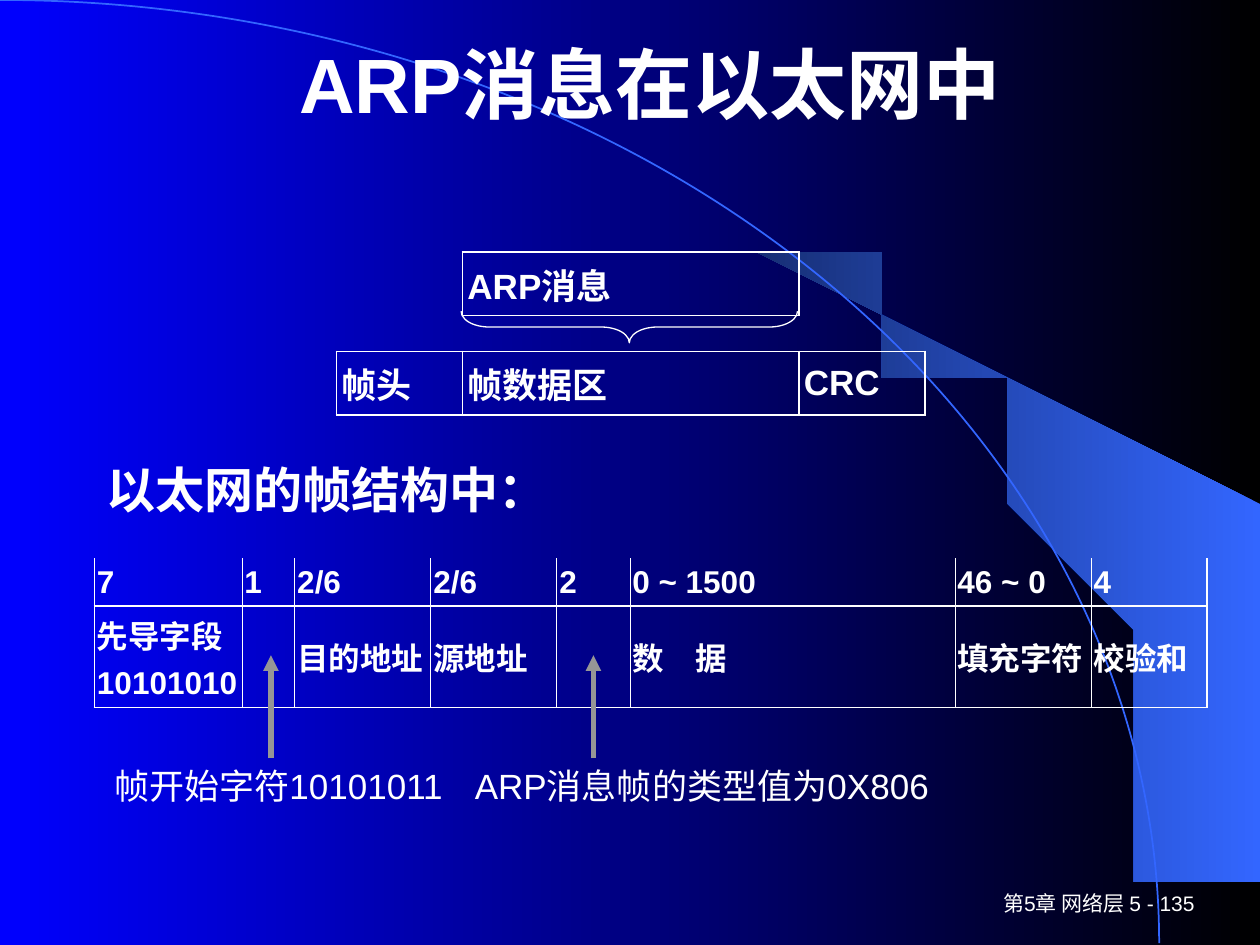
from dataclasses import dataclass

from lxml.etree import SubElement
from pptx import Presentation
from pptx.dml.color import RGBColor
from pptx.enum.shapes import MSO_CONNECTOR, MSO_SHAPE
from pptx.enum.text import MSO_ANCHOR as Anchor, MSO_AUTO_SIZE as AutoSize, PP_ALIGN as Align
from pptx.oxml.ns import qn
from pptx.util import Inches, Pt

COLORS = {"white": "FFFFFF", "black": "000000", "blue": "0000FF", "sky": "3366FF",
          "navy": "172F75", "gray": "969696"}
FONT = "Arial"
THIN, THICK = 0.45, 1.08


@dataclass
class Label:
    text: str
    left: float
    top: float
    width: float
    height: float
    size: float
    align: Align = Align.LEFT
    bold: bool = False
    grow: bool = False
    anchor: Anchor = Anchor.TOP


@dataclass
class FrameTable:
    left: float
    top: float
    widths: list[float]
    heights: list[float]
    rows: list[list[str]]
    size: float
    space_before: float
    inset: float
    inner: float = THICK
    open_top: bool = False
    first_anchor: Anchor = Anchor.MIDDLE


def rgb(name: str) -> RGBColor:
    return RGBColor.from_string(COLORS[name])


def set_gradient(fill, right: str, left: str) -> None:
    fill.gradient()
    fill.gradient_angle = 180
    for stop, name in zip(fill.gradient_stops, (right, left)):
        stop.color.rgb = rgb(name)


def style_text(frame, size: float, bold: bool, align: Align = Align.LEFT,
               space_before: float = 0) -> None:
    for paragraph in frame.paragraphs:
        paragraph.alignment = align
        paragraph.space_before = Pt(space_before)
        paragraph.font.name = FONT
        paragraph.font.size = Pt(size)
        paragraph.font.bold = bold
        paragraph.font.color.rgb = rgb("white")


def add_label(slide, label: Label) -> None:
    box = slide.shapes.add_textbox(Inches(label.left), Inches(label.top),
                                   Inches(label.width), Inches(label.height))
    frame = box.text_frame
    frame.word_wrap = True
    frame.auto_size = AutoSize.SHAPE_TO_FIT_TEXT if label.grow else AutoSize.NONE
    frame.vertical_anchor = label.anchor
    frame.text = label.text
    style_text(frame, label.size, label.bold, label.align)


def set_border(cell, side: str, width: float) -> None:
    line = SubElement(cell._tc.get_or_add_tcPr(), qn(f"a:ln{side}"), w=str(Pt(width)))
    if width:
        solid = SubElement(line, qn("a:solidFill"))
        SubElement(solid, qn("a:srgbClr"), val=COLORS["white"])
    else:
        SubElement(line, qn("a:noFill"))


def add_frame_table(slide, spec_: FrameTable) -> None:
    table = slide.shapes.add_table(
        len(spec_.heights), len(spec_.widths), Inches(spec_.left), Inches(spec_.top),
        Inches(sum(spec_.widths)), Inches(sum(spec_.heights))).table
    table.first_row = table.horz_banding = False
    for column, width in zip(table.columns, spec_.widths):
        column.width = Inches(width)
    for row, height in zip(table.rows, spec_.heights):
        row.height = Inches(height)
    last = len(spec_.widths) - 1
    for r, texts in enumerate(spec_.rows):
        for c, text in enumerate(texts):
            cell = table.cell(r, c)
            cell.text = text
            cell.margin_left = cell.margin_right = Inches(spec_.inset)
            cell.margin_top = cell.margin_bottom = Inches(0.05)
            cell.vertical_anchor = spec_.first_anchor if r == 0 else Anchor.MIDDLE
            style_text(cell.text_frame, spec_.size, True, space_before=spec_.space_before)
            set_border(cell, "L", THICK if c == 0 else spec_.inner)
            set_border(cell, "R", THICK if c == last else spec_.inner)
            set_border(cell, "T", 0 if r == 0 and spec_.open_top else THICK)
            set_border(cell, "B", THICK)
            cell.fill.background()


def add_outline(slide, kind: MSO_SHAPE, left: float, top: float, width: float,
                height: float, color: str, weight: float):
    shape = slide.shapes.add_shape(kind, Inches(left), Inches(top),
                                   Inches(width), Inches(height))
    shape.shadow.inherit = False
    shape.fill.background()
    shape.line.color.rgb = rgb(color)
    shape.line.width = Pt(weight)
    return shape


def add_up_arrow(slide, x: float, bottom: float, top: float) -> None:
    arrow = slide.shapes.add_connector(MSO_CONNECTOR.STRAIGHT, Inches(x), Inches(bottom),
                                       Inches(x), Inches(top))
    arrow.line.color.rgb = rgb("gray")
    arrow.line.width = Pt(3)
    SubElement(arrow.line._get_or_add_ln(), qn("a:tailEnd"), type="triangle")
    SubElement(arrow._element.spPr, qn("a:effectLst"))


BEAM = [(9.2, 7.48), (9.99, 7.49), (9.99, 4.23), (5.89, 1.73), (6.24, 1.99), (6.53, 2.22),
        (6.85, 2.5), (7.16, 2.8), (7.62, 3.3), (8.03, 3.84), (8.32, 4.31), (8.58, 4.79),
        (8.78, 5.28), (8.93, 5.72), (9.03, 6.09), (9.13, 6.56), (9.17, 6.96)]

TABLES = [
    FrameTable(3.67, 2, [2.67], [0.42], [["ARP消息"]], 20, 0, 0.04),
    FrameTable(2.67, 2.79, [1, 2.67, 1], [0.42], [["帧头", "帧数据区", "CRC"]], 20, 0, 0.04),
    FrameTable(0.75, 4.43, [1.17, 0.42, 1.08, 1, 0.58, 2.58, 1.08, 0.92], [0.34, 0.7],
               [["7", "1", "2/6", "2/6", "2", "0 ~ 1500", "46 ~ 0", "4"],
                ["先导字段\n10101010", "", "目的地址", "源地址", "", "数　据", "填充字符", "校验和"]],
               18, 4.5, 0.02, THIN, True, Anchor.BOTTOM),
]
for small_table in TABLES[:2]:
    small_table.space_before = 5

LABELS = [
    Label("第5章 网络层 5 - 135", 7.5, 7, 2.08, 0.33, 12, Align.RIGHT, anchor=Anchor.MIDDLE),
    Label("以太网的帧结构中：", 0.75, 3.6, 5.67, 0.57, 28, bold=True, grow=True),
    Label("ARP消息帧的类型值为0X806", 3.67, 6.02, 4.17, 0.44, 20, grow=True),
    Label("帧开始字符10101011", 0.75, 6.02, 2.92, 0.43, 20, Align.CENTER),
]


def main() -> None:
    prs = Presentation()
    prs.slide_width, prs.slide_height = Inches(10), Inches(7.5)
    slide = prs.slides.add_slide(prs.slide_layouts[5])

    # Background: gradient, light beam and arc
    set_gradient(slide.background.fill, "black", "blue")
    builder = slide.shapes.build_freeform(*BEAM[0], scale=Inches(1))
    builder.add_line_segments(BEAM[1:], close=True)
    beam = builder.convert_to_shape()
    beam.shadow.inherit = False
    set_gradient(beam.fill, "sky", "navy")
    beam.line.fill.background()
    add_outline(slide, MSO_SHAPE.ARC, -9.2, 0, 18.4, 14.97, "sky", 1)

    # Title, kept in front of the background
    title = slide.shapes.title
    title.left, title.top = Inches(0.91), Inches(0.21)
    title.width, title.height = Inches(8.5), Inches(0.89)
    title.text_frame.text = "ARP消息在以太网中"
    title.text_frame.vertical_anchor = Anchor.MIDDLE
    title.text_frame.auto_size = AutoSize.NONE
    style_text(title.text_frame, 44, True, Align.CENTER)
    slide.shapes._spTree.append(title._element)

    # Frame tables and the brace between message and data area
    for frame_table in TABLES:
        add_frame_table(slide, frame_table)
    brace = add_outline(slide, MSO_SHAPE.LEFT_BRACE, 4.87, 1.26, 0.25, 2.67, "white", 0.75)
    brace.adjustments[0] = 0.89
    brace.rotation = 270

    # Captions and the arrows to the fields they explain
    for label in LABELS:
        add_label(slide, label)
    for x in (2.15, 4.71):
        add_up_arrow(slide, x, 6.02, 5.2)

    prs.save("out.pptx")


if __name__ == "__main__":
    main()
